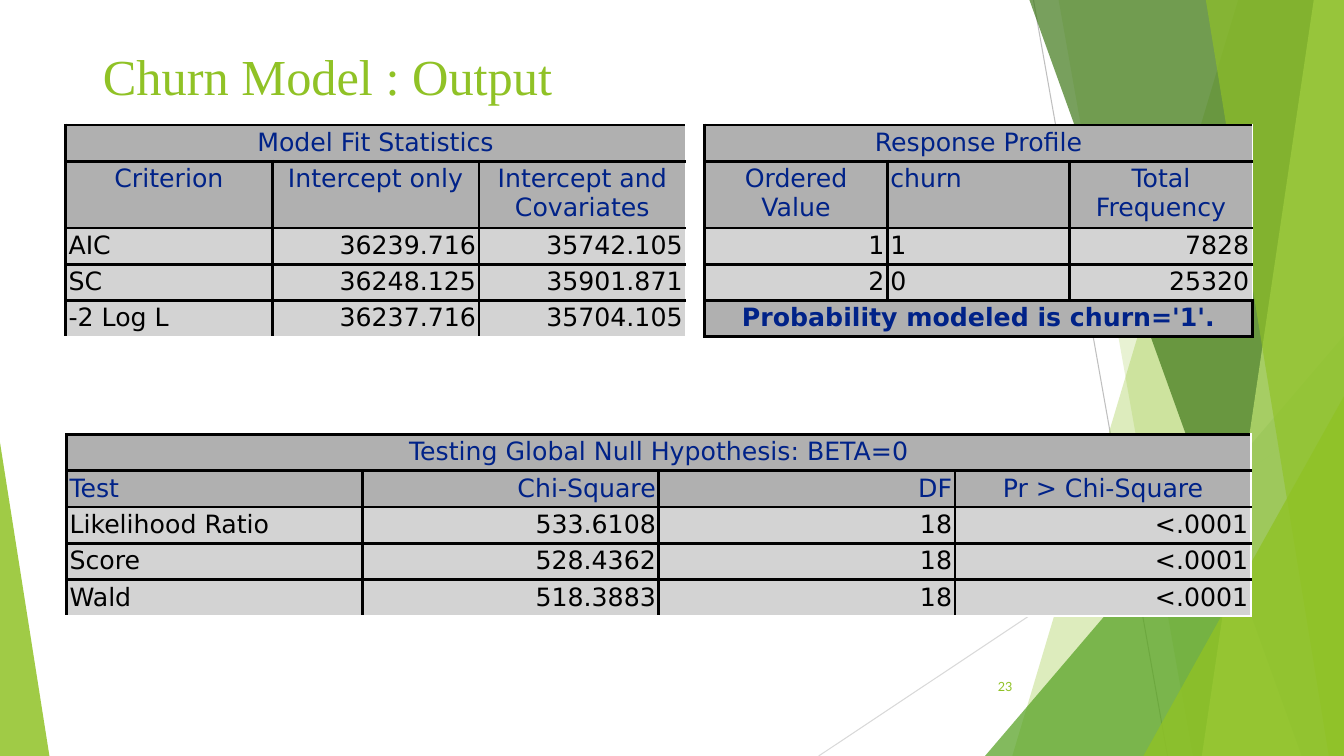
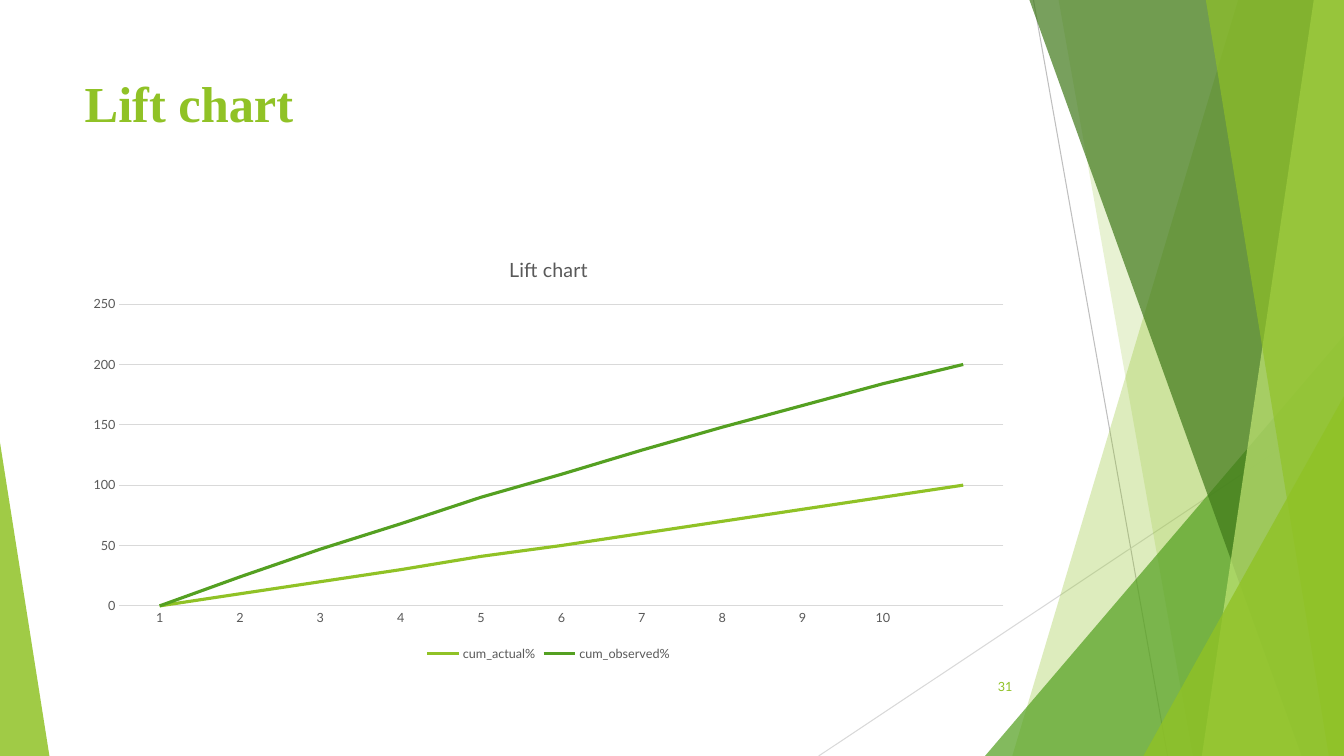
"""Build the churn model output slide and the lift chart slide."""
from dataclasses import dataclass

import lxml.etree
import pptx
import pptx.chart.chart
import pptx.chart.data
import pptx.dml.color
import pptx.enum.chart
import pptx.enum.shapes
import pptx.enum.text
import pptx.oxml.ns
import pptx.presentation
import pptx.shapes.autoshape
import pptx.slide
import pptx.table
import pptx.text.text
import pptx.util

Inches = pptx.util.Inches
Pt = pptx.util.Pt
RGBColor = pptx.dml.color.RGBColor
Align = pptx.enum.text.PP_ALIGN
qn = pptx.oxml.ns.qn

LIME = RGBColor(0x90, 0xC2, 0x26)
PALE_LIME = RGBColor(0xC0, 0xE4, 0x74)
GREEN = RGBColor(0x54, 0xA0, 0x21)
FOREST = RGBColor(0x3F, 0x78, 0x19)
NAVY = RGBColor(0x00, 0x22, 0x88)
BLACK = RGBColor(0x00, 0x00, 0x00)
WHITE = RGBColor(0xFF, 0xFF, 0xFF)
HEADER_GRAY = RGBColor(0xB0, 0xB0, 0xB0)
BODY_GRAY = RGBColor(0xD3, 0xD3, 0xD3)
RAY_GRAY = RGBColor(0xBF, 0xBF, 0xBF)
GRID_GRAY = RGBColor(0xD9, 0xD9, 0xD9)
LABEL_GRAY = RGBColor(0x59, 0x59, 0x59)

TITLE_FONT = "Times New Roman"
TABLE_FONT = "DejaVu Sans"
LABEL_FONT = "Lato"
SLIDE_WIDTH, SLIDE_HEIGHT = 13.33, 7.5
ALIGNMENTS = {"l": Align.LEFT, "c": Align.CENTER, "r": Align.RIGHT}


@dataclass(frozen=True)
class Ray:
    """A thin straight line of the backdrop."""
    start: tuple[float, float]
    end: tuple[float, float]
    color: RGBColor


@dataclass(frozen=True)
class Band:
    """A slanted band that runs to the right edge of the slide."""
    top_left: float
    bottom_left: float
    color: RGBColor
    opacity: int


@dataclass(frozen=True)
class Wedge:
    """A triangle that stands on the bottom edge of the slide."""
    left: float
    top: float
    width: float
    apex: float
    color: RGBColor
    opacity: int


@dataclass(frozen=True)
class StatRow:
    """A table row; a single text spans the whole row."""
    texts: tuple[str, ...]
    aligns: str
    header: bool = False
    boxed: bool = False
    height: float = 0.35


@dataclass(frozen=True)
class StatTable:
    """A table of statistics with equal columns."""
    left: float
    top: float
    width: float
    columns: int
    rows: tuple[StatRow, ...]


RAYS = (
    Ray((10.25, 0), (11.58, SLIDE_HEIGHT), RAY_GRAY),
    Ray((SLIDE_WIDTH, 4.03), (8.12, SLIDE_HEIGHT), GRID_GRAY),
)
FACETS = (
    Band(12.28, 10.04, LIME, 30),
    Band(10.5, 11.83, LIME, 20),
    Wedge(9.77, 3.33, 3.56, 1, GREEN, 72),
    Band(10.21, 12.91, FOREST, 70),
    Band(13.03, 11.92, PALE_LIME, 70),
    Band(11.96, 13.18, LIME, 65),
    Wedge(11.34, 3.93, 1.99, 1, LIME, 80),
    Wedge(0, 4.39, 0.49, 0, LIME, 85),
)
STAT_TABLES = (
    StatTable(0.65, 1.24, 6.15, 3, (
        StatRow(("Model Fit Statistics",), "c", header=True),
        StatRow(("Criterion", "Intercept only", "Intercept and Covariates"), "ccc",
                header=True, height=0.65),
        StatRow(("AIC", "36239.716", "35742.105"), "lrr"),
        StatRow(("SC", "36248.125", "35901.871"), "lrr"),
        StatRow(("-2 Log L", "36237.716", "35704.105"), "lrr"),
    )),
    StatTable(0.66, 4.31, 11.75, 4, (
        StatRow(("Testing Global Null Hypothesis: BETA=0",), "c", header=True),
        StatRow(("Test", "Chi-Square", "DF", "Pr > Chi-Square"), "lrrc", header=True),
        StatRow(("Likelihood Ratio", "533.6108", "18", "<.0001"), "lrrr"),
        StatRow(("Score", "528.4362", "18", "<.0001"), "lrrr"),
        StatRow(("Wald", "518.3883", "18", "<.0001"), "lrrr"),
    )),
    StatTable(6.99, 1.24, 5.43, 3, (
        StatRow(("Response Profile",), "c", header=True),
        StatRow(("Ordered Value", "churn", "Total Frequency"), "clc", header=True, height=0.65),
        StatRow(("1", "1", "7828"), "rlr"),
        StatRow(("2", "0", "25320"), "rlr"),
        StatRow(("Probability modeled is churn='1'.",), "c", header=True, boxed=True),
    )),
)
DECILES = [str(decile) for decile in range(1, 11)] + [""]
LIFT_SERIES = (
    ("cum_actual%", (None, 10, 20, 30, 41, 50, 60, 70, 80, 90, 100), LIME),
    ("cum_observed%", (None, 14, 27, 38, 49, 59, 69, 78, 86, 94, 100), GREEN),
)


def style_font(font: pptx.text.text.Font, name: str, size: float, color: RGBColor,
               bold: bool = False) -> None:
    """Set the face, size, colour and weight of a font."""
    font.name, font.size, font.bold = name, Pt(size), bold
    font.color.rgb = color


def draw_ray(slide: pptx.slide.Slide, ray: Ray) -> None:
    """Draw one thin backdrop line."""
    connector = slide.shapes.add_connector(
        pptx.enum.shapes.MSO_CONNECTOR.STRAIGHT, *map(Inches, ray.start + ray.end))
    connector.line.color.rgb = ray.color
    connector.line.width = Pt(0.75)
    lxml.etree.SubElement(connector.element.spPr, qn("a:effectLst"))


def draw_facet(slide: pptx.slide.Slide, facet: Band | Wedge) -> None:
    """Draw one translucent facet of the backdrop."""
    if isinstance(facet, Band):
        builder = slide.shapes.build_freeform(Inches(facet.top_left), 0)
        corners = ((SLIDE_WIDTH, 0), (SLIDE_WIDTH, SLIDE_HEIGHT),
                   (facet.bottom_left, SLIDE_HEIGHT))
        builder.add_line_segments([(Inches(x), Inches(y)) for x, y in corners])
        outline = builder.convert_to_shape()
    else:
        outline = slide.shapes.add_shape(
            pptx.enum.shapes.MSO_SHAPE.ISOSCELES_TRIANGLE, Inches(facet.left), Inches(facet.top),
            Inches(facet.width), Inches(SLIDE_HEIGHT - facet.top))
        outline.adjustments[0] = facet.apex
    outline.shadow.inherit = False
    outline.line.fill.background()
    outline.fill.solid()
    outline.fill.fore_color.rgb = facet.color
    tint = outline.element.spPr.find(f"{qn('a:solidFill')}/{qn('a:srgbClr')}")
    lxml.etree.SubElement(tint, qn("a:alpha"), val=str(facet.opacity * 1000))


def add_themed_slide(deck: pptx.presentation.Presentation, title: str,
                     box: tuple[float, float, float, float], number: int,
                     bold: bool = False) -> pptx.slide.Slide:
    """Add a slide with backdrop, title and slide number."""
    slide = deck.slides.add_slide(deck.slide_layouts[5])
    for ray in RAYS:
        draw_ray(slide, ray)
    for facet in FACETS:
        draw_facet(slide, facet)

    heading = slide.shapes.title
    heading.left, heading.top, heading.width, heading.height = map(Inches, box)
    heading.text_frame.vertical_anchor = pptx.enum.text.MSO_ANCHOR.TOP
    paragraph = heading.text_frame.paragraphs[0]
    paragraph.alignment = Align.LEFT
    run = paragraph.add_run()
    run.text = title
    style_font(run.font, TITLE_FONT, 36, LIME, bold)

    page = slide.shapes.add_textbox(Inches(9.39), Inches(6.61), Inches(0.75), Inches(0.4))
    page.text_frame.word_wrap = True
    page.text_frame.vertical_anchor = pptx.enum.text.MSO_ANCHOR.MIDDLE
    paragraph = page.text_frame.paragraphs[0]
    paragraph.alignment = Align.RIGHT
    run = paragraph.add_run()
    run.text = str(number)
    style_font(run.font, LABEL_FONT, 9, LIME)
    return slide


def set_borders(cell: pptx.table._Cell, white_sides: str) -> None:
    """Rule a cell in black, with thin white lines on the sides named."""
    properties = cell._tc.get_or_add_tcPr()
    for side in "LRTB":
        color, width = (WHITE, 1.13) if side in white_sides else (BLACK, 2.25)
        line = lxml.etree.SubElement(properties, qn(f"a:ln{side}"), w=str(int(Pt(width))))
        fill = lxml.etree.SubElement(line, qn("a:solidFill"))
        lxml.etree.SubElement(fill, qn("a:srgbClr"), val=str(color))


def draw_stat_table(slide: pptx.slide.Slide, stats: StatTable) -> None:
    """Draw one table of statistics."""
    table = slide.shapes.add_table(
        len(stats.rows), stats.columns, Inches(stats.left), Inches(stats.top),
        Inches(stats.width), Inches(sum(row.height for row in stats.rows))).table
    table.first_row = table.horz_banding = False
    for row_index, row in enumerate(stats.rows):
        table.rows[row_index].height = Inches(row.height)
        spanning = len(row.texts) == 1
        if spanning:
            table.cell(row_index, 0).merge(table.cell(row_index, stats.columns - 1))
        for column in range(stats.columns):
            cell = table.cell(row_index, column)
            white_sides = ""
            if not row.boxed:
                white_sides += "R" if spanning or column == stats.columns - 1 else ""
                white_sides += "B" if row_index == len(stats.rows) - 1 else ""
            set_borders(cell, white_sides)
            cell.fill.solid()
            cell.fill.fore_color.rgb = HEADER_GRAY if row.header else BODY_GRAY
            cell.margin_left = cell.margin_right = Inches(0.03)
            cell.margin_top = cell.margin_bottom = Inches(0.03)
            if column < len(row.texts):
                paragraph = cell.text_frame.paragraphs[0]
                paragraph.alignment = ALIGNMENTS[row.aligns[column]]
                run = paragraph.add_run()
                run.text = row.texts[column]
                style_font(run.font, TABLE_FONT, 18, NAVY if row.header else BLACK, row.boxed)


def draw_lift_chart(slide: pptx.slide.Slide) -> None:
    """Draw the stacked line chart of cumulative shares."""
    lift_data = pptx.chart.data.CategoryChartData()
    lift_data.categories = DECILES
    for name, values, _ in LIFT_SERIES:
        lift_data.add_series(name, values)
    chart = slide.shapes.add_chart(
        pptx.enum.chart.XL_CHART_TYPE.LINE_STACKED, Inches(0.74), Inches(2.36),
        Inches(9.4), Inches(4.24), lift_data).chart
    style_font(chart.font, LABEL_FONT, 10, BLACK)
    chart.element.find(f".//{qn('c:dispBlanksAs')}").set("val", "zero")

    chart.has_title = True
    run = chart.chart_title.text_frame.paragraphs[0].add_run()
    run.text = "Lift chart"
    style_font(run.font, LABEL_FONT, 14, LABEL_GRAY)
    chart.has_legend = True
    chart.legend.position = pptx.enum.chart.XL_LEGEND_POSITION.BOTTOM
    chart.legend.include_in_layout = False
    style_font(chart.legend.font, LABEL_FONT, 9, LABEL_GRAY)

    for axis in (chart.category_axis, chart.value_axis):
        axis.major_tick_mark = axis.minor_tick_mark = pptx.enum.chart.XL_TICK_MARK.NONE
        style_font(axis.tick_labels.font, LABEL_FONT, 9, LABEL_GRAY)
    share_axis = chart.value_axis
    share_axis.minimum_scale, share_axis.maximum_scale, share_axis.major_unit = 0, 250, 50
    share_axis.format.line.fill.background()
    share_axis.has_major_gridlines = True
    for rule in (chart.category_axis.format.line, share_axis.major_gridlines.format.line):
        rule.color.rgb = GRID_GRAY
        rule.width = Pt(0.75)

    chart.plots[0].vary_by_categories = False
    for series, (_, _, color) in zip(chart.plots[0].series, LIFT_SERIES):
        series.smooth = False
        series.format.line.color.rgb = color
        series.format.line.width = Pt(2.25)


def main() -> None:
    """Build and save the deck."""
    deck = pptx.Presentation()
    deck.slide_width, deck.slide_height = Inches(SLIDE_WIDTH), Inches(SLIDE_HEIGHT)
    output = add_themed_slide(deck, "Churn Model : Output", (0.92, 0.4, 11.5, 0.84), 23)
    for stats in STAT_TABLES:
        draw_stat_table(output, stats)
    lift = add_themed_slide(deck, "Lift chart", (0.74, 0.67, 9.4, 1.44), 31, bold=True)
    draw_lift_chart(lift)
    deck.save("out.pptx")


if __name__ == "__main__":
    main()
